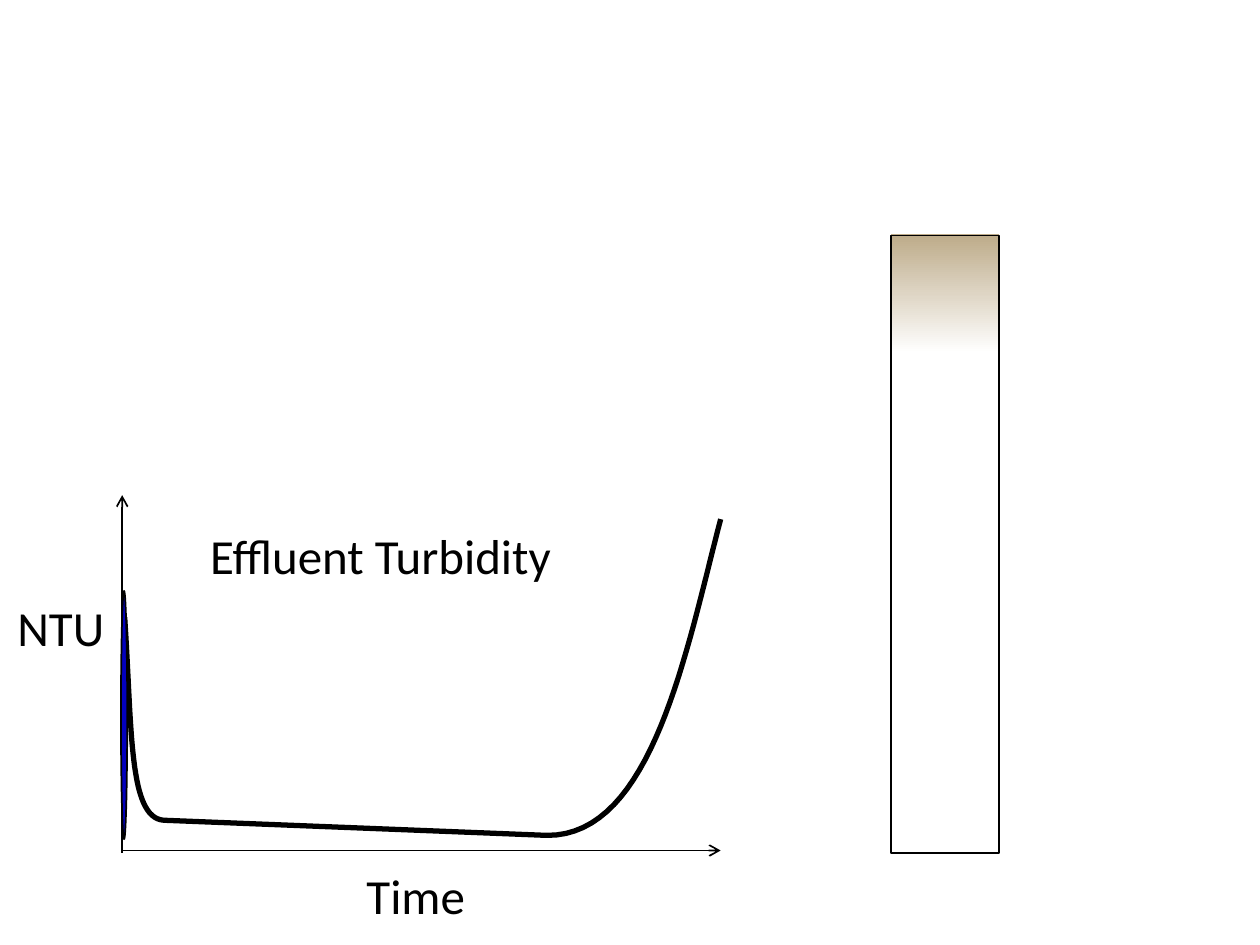
from lxml import etree
from pptx import Presentation
from pptx.dml.color import RGBColor
from pptx.enum.shapes import MSO_CONNECTOR, MSO_SHAPE
from pptx.enum.text import MSO_AUTO_SIZE
from pptx.oxml.ns import qn
from pptx.util import Inches, Pt

RECT = MSO_SHAPE.RECTANGLE
OVAL = MSO_SHAPE.OVAL
STRAIGHT = MSO_CONNECTOR.STRAIGHT
GROW = MSO_AUTO_SIZE.SHAPE_TO_FIT_TEXT

COLORS = {"ink": "000000", "blue": "0300BE", "silt": "BDAB89", "white": "FFFFFF"}


def color(name):
    return RGBColor.from_string(COLORS[name])


def style_line(line, width):
    line.color.rgb = color("ink")
    line.width = Pt(width)


def add_shape(slide, kind, box, fill=None, fade=None, line=None):
    """Add a preset shape; fade is the lower colour of a vertical gradient."""
    shape = slide.shapes.add_shape(kind, *map(Inches, box))
    shape.shadow.inherit = False
    if fade:
        shape.fill.gradient()
        shape.fill.gradient_angle = 270
        for stop, name in zip(shape.fill.gradient_stops, (fill, fade)):
            stop.color.rgb = color(name)
    elif fill:
        shape.fill.solid()
        shape.fill.fore_color.rgb = color(fill)
    else:
        shape.fill.background()
    if line:
        style_line(shape.line, line)
    else:
        shape.line.fill.background()


def add_arrow(slide, start, end):
    arrow = slide.shapes.add_connector(STRAIGHT, *map(Inches, start + end))
    style_line(arrow.line, 1)
    tip = etree.SubElement(arrow.line._get_or_add_ln(), qn("a:tailEnd"))
    tip.set("type", "arrow")
    etree.SubElement(arrow._element.spPr, qn("a:effectLst"))


def bezier(a, b, c, d, steps=32):
    """Return points along a cubic curve from a to d."""
    points = []
    for i in range(steps + 1):
        t = i / steps
        u = 1 - t
        points.append(tuple(
            u**3 * p + 3 * u * u * t * q + 3 * u * t * t * r + t**3 * s
            for p, q, r, s in zip(a, b, c, d)))
    return points


def add_curve(slide, points, width):
    dots = [(Inches(x), Inches(y)) for x, y in points]
    build = slide.shapes.build_freeform(*dots[0])
    build.add_line_segments(dots[1:], close=False)
    curve = build.convert_to_shape()
    curve.shadow.inherit = False
    curve.fill.background()
    style_line(curve.line, width)


def add_text(slide, text, box, size=28, font="Calibri", ink="ink"):
    frame = slide.shapes.add_textbox(*map(Inches, box)).text_frame
    frame.word_wrap = False
    frame.auto_size = GROW
    run = frame.paragraphs[0].add_run()
    run.text = text
    run.font.size = Pt(size)
    run.font.name = font
    run.font.color.rgb = color(ink)


def main():
    deck = Presentation()
    deck.slide_width, deck.slide_height = Inches(10), Inches(7.5)
    slide = deck.slides.add_slide(deck.slide_layouts[6])

    # Filter column with silt at its top
    add_shape(slide, RECT, (7.07, 1.86, 0.86, 0.94), fill="silt", fade="white")
    add_shape(slide, RECT, (7.07, 1.87, 0.86, 4.9), line=1)

    # Axes
    add_arrow(slide, (0.97, 6.77), (0.97, 3.93))
    add_arrow(slide, (0.97, 6.75), (5.72, 6.75))

    # Turbidity: early drop, slow decline, breakthrough
    drop = bezier((0.99, 4.9), (1.05, 5.8), (1.02, 6.49), (1.3, 6.51))
    rise = bezier((4.34, 6.63), (5.18, 6.64), (5.45, 5.15), (5.72, 4.12))
    add_curve(slide, drop + rise, 3)
    add_shape(slide, OVAL, (0.96, 4.69, 0.05, 1.97), fill="blue", line=1)

    # Labels
    add_text(slide, "Effluent Turbidity", (1.57, 4.12, 3.07, 0.57))
    add_text(slide, "NTU", (0.04, 4.69, 0.93, 0.57))
    add_text(slide, "Time", (2.81, 6.82, 1.01, 0.57))

    deck.save("out.pptx")


if __name__ == "__main__":
    main()
